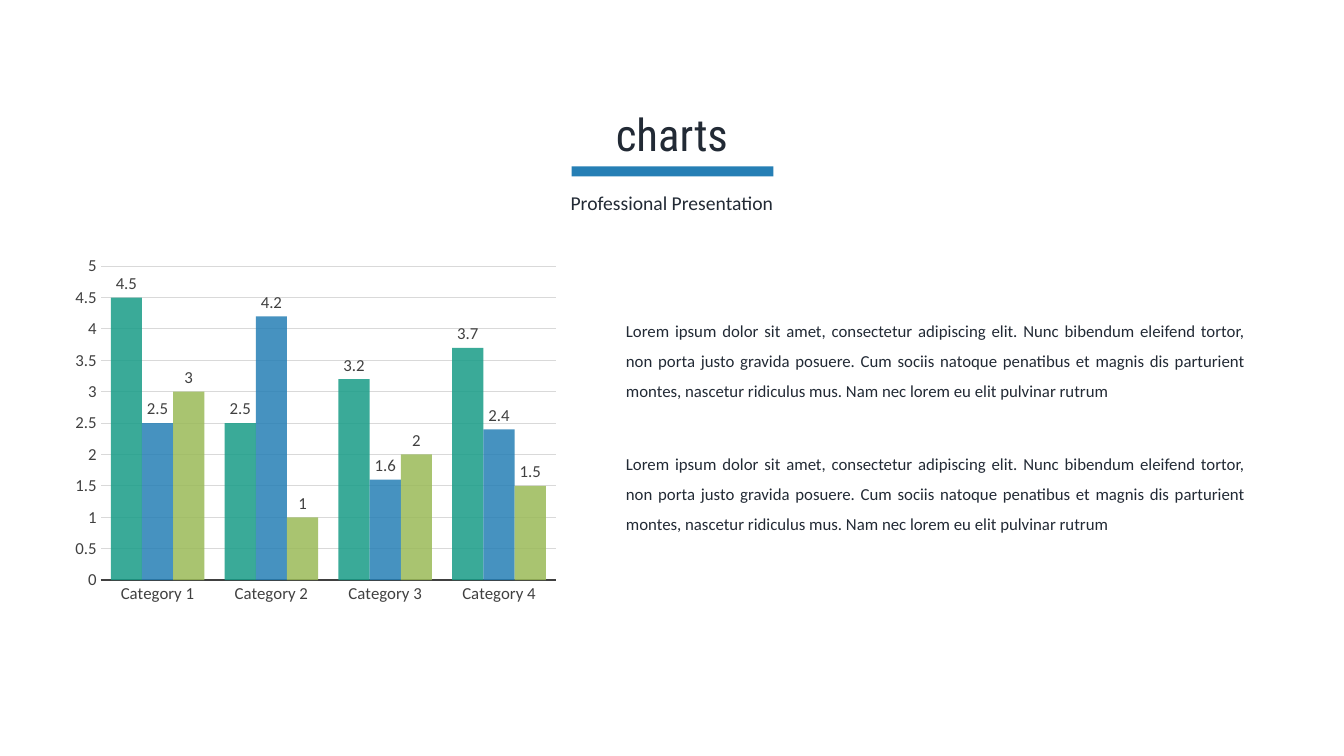
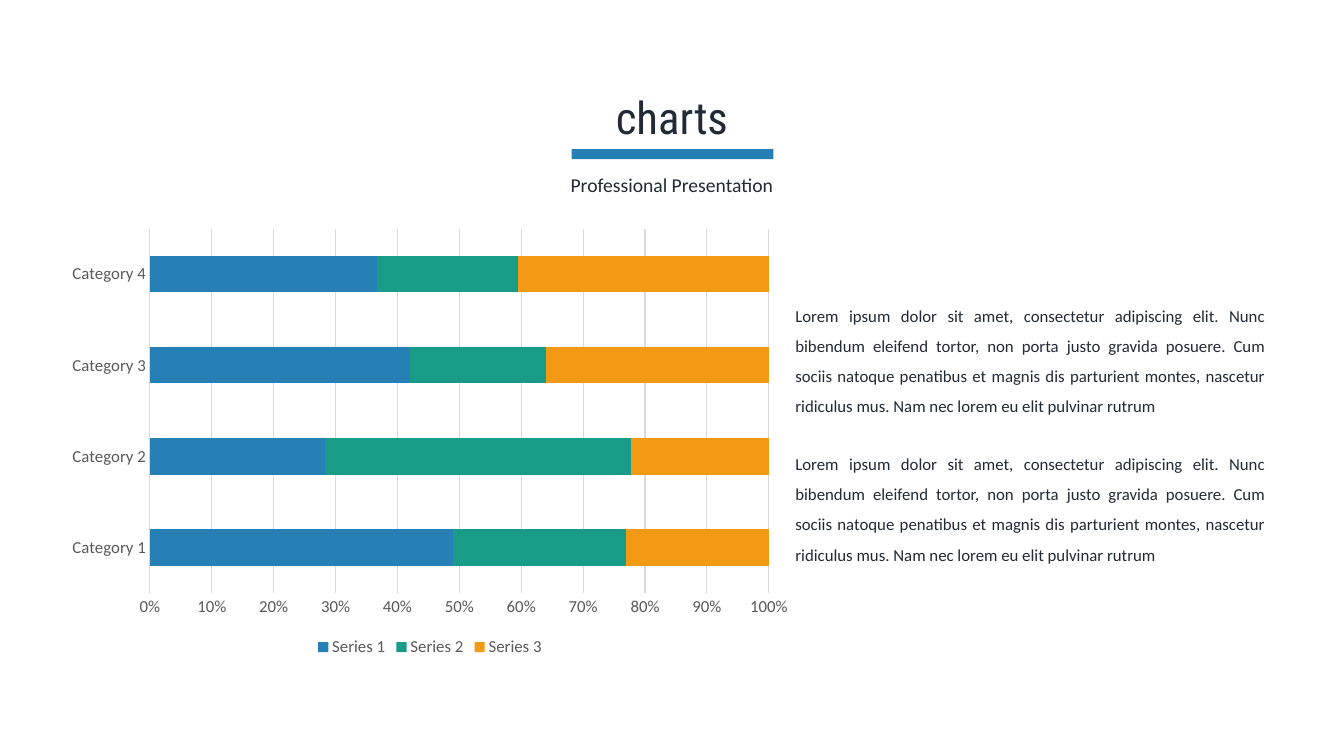
from dataclasses import dataclass

from lxml import etree
from pptx import Presentation
from pptx import util as u
from pptx.chart import data as chart_data
from pptx.dml.color import RGBColor
from pptx.enum import chart as charts
from pptx.enum import shapes, text
from pptx.oxml import parse_xml
from pptx.oxml.ns import nsdecls, qn

PX = 9144
PAGE_WIDTH, PAGE_HEIGHT = 1333, 750
INK, BLUE, TEAL, GREEN, ORANGE = "222A35", "267FB5", "189C87", "9ABA58", "F39A14"
GRID, CHARCOAL, GRAY = "D9D9D9", "404040", "595959"
BODY_FONT, TITLE_FONT = "Calibri", "Roboto Condensed"
CATEGORIES = [f"Category {number}" for number in range(1, 5)]
PARAGRAPH = (
    "Lorem ipsum dolor sit amet, consectetur adipiscing elit. Nunc bibendum eleifend tortor, "
    "non porta justo gravida posuere. Cum sociis natoque penatibus et magnis dis parturient "
    "montes, nascetur ridiculus mus. Nam nec lorem eu elit pulvinar rutrum"
)


@dataclass(frozen=True)
class Area:
    left: int
    top: int
    width: int
    height: int

    def emu(self) -> list:
        return [u.Emu(side * PX) for side in (self.left, self.top, self.width, self.height)]


@dataclass(frozen=True)
class Series:
    values: tuple
    color: str


@dataclass(frozen=True)
class ChartPage:
    heading_top: int
    kind: charts.XL_CHART_TYPE
    chart_area: Area
    series: tuple
    gap: int
    axis_color: str
    text_areas: tuple


PAGES = (
    ChartPage(
        heading_top=101,
        kind=charts.XL_CHART_TYPE.COLUMN_CLUSTERED,
        chart_area=Area(68, 245, 579, 374),
        series=(
            Series((4.5, 2.5, 3.2, 3.7), TEAL),
            Series((2.5, 4.2, 1.6, 2.4), BLUE),
            Series((3, 1, 2, 1.5), GREEN),
        ),
        gap=65,
        axis_color=CHARCOAL,
        text_areas=(Area(611, 303, 634, 101), Area(611, 435, 634, 101)),
    ),
    ChartPage(
        heading_top=84,
        kind=charts.XL_CHART_TYPE.BAR_STACKED_100,
        chart_area=Area(57, 218, 739, 438),
        series=(
            Series((49, 28, 42, 37), BLUE),
            Series((28, 49, 22, 23), TEAL),
            Series((23, 22, 36, 41), ORANGE),
        ),
        gap=150,
        axis_color=GRAY,
        text_areas=(Area(779, 288, 486, 131), Area(779, 435, 486, 131)),
    ),
)


def rgb(color: str) -> RGBColor:
    return RGBColor.from_string(color)


def style_font(font, size: int, color: str, name: str = BODY_FONT) -> None:
    font.size = u.Pt(size)
    font.name = name
    font.color.rgb = rgb(color)


def write(box, content: str, *, size: int, font: str = BODY_FONT, color: str = INK,
          align=text.PP_ALIGN.CENTER, spacing: float = 1.0,
          fit=text.MSO_AUTO_SIZE.SHAPE_TO_FIT_TEXT) -> None:
    frame = box.text_frame
    frame.word_wrap = True
    frame.auto_size = fit
    frame.vertical_anchor = text.MSO_ANCHOR.TOP
    para = frame.paragraphs[0]
    para.alignment = align
    para.line_spacing = spacing
    span = para.add_run()
    span.text = content
    style_font(span.font, size, color, font)


def add_heading(page, top: int) -> None:
    title = page.shapes.title
    title.left, title.top, title.width, title.height = Area(0, top, PAGE_WIDTH, 64).emu()
    write(title, "charts", size=32, font=TITLE_FONT, fit=text.MSO_AUTO_SIZE.NONE)
    subtitle = page.shapes.add_textbox(*Area(68, top + 83, 1197, 34).emu())
    write(subtitle, "Professional Presentation", size=14)
    underline = page.shapes.add_shape(
        shapes.MSO_SHAPE.RECTANGLE, *Area(567, top + 64, 200, 10).emu())
    underline.shadow.inherit = False
    underline.fill.solid()
    underline.fill.fore_color.rgb = rgb(BLUE)
    underline.line.fill.background()


def style_axis(axis, color: str) -> None:
    axis.major_tick_mark = charts.XL_TICK_MARK.NONE
    axis.minor_tick_mark = charts.XL_TICK_MARK.NONE
    axis.format.line.fill.background()
    style_font(axis.tick_labels.font, 12, color)


def add_chart(page, design: ChartPage):
    data = chart_data.CategoryChartData()
    data.categories = CATEGORIES
    for number, series in enumerate(design.series, 1):
        data.add_series(f"Series {number}", series.values)
    chart = page.shapes.add_chart(design.kind, *design.chart_area.emu(), data).chart
    chart.has_title = False
    chart.has_legend = False
    style_font(chart.font, 10, "000000")
    plot = chart.plots[0]
    plot.gap_width = design.gap
    plot.vary_by_categories = False
    for drawn, series in zip(plot.series, design.series):
        drawn.format.fill.solid()
        drawn.format.fill.fore_color.rgb = rgb(series.color)
    for axis in (chart.category_axis, chart.value_axis):
        style_axis(axis, design.axis_color)
    chart.value_axis.has_major_gridlines = True
    grid = chart.value_axis.major_gridlines.format.line
    grid.width = u.Pt(0.75)
    grid.color.rgb = rgb(GRID)
    return chart


def set_plot_area(chart, **percents: float) -> None:
    area = chart.element.xpath("c:chart/c:plotArea")[0]
    for layout in area.findall(qn("c:layout")):
        area.remove(layout)
    sides = "".join(f'<c:{side} val="{percent / 100}"/>' for side, percent in percents.items())
    area.insert(0, parse_xml(
        f'<c:layout {nsdecls("c")}><c:manualLayout><c:layoutTarget val="inner"/>'
        f'<c:xMode val="edge"/><c:yMode val="edge"/>{sides}</c:manualLayout></c:layout>'))


def finish_columns(chart) -> None:
    set_plot_area(chart, x=5.5, y=5.1, w=78, h=83.3)
    for color in chart.element.xpath(".//c:ser/c:spPr//a:srgbClr"):
        etree.SubElement(color, qn("a:alpha")).set("val", "85000")
    baseline = chart.category_axis.format.line
    baseline.width = u.Pt(1.5)
    baseline.color.rgb = rgb(CHARCOAL)
    chart.value_axis.minimum_scale = 0
    chart.value_axis.maximum_scale = 5
    chart.value_axis.major_unit = 0.5
    for series in chart.plots[0].series:
        labels = series.data_labels
        labels.show_value = True
        labels.position = charts.XL_LABEL_POSITION.OUTSIDE_END
        style_font(labels.font, 12, CHARCOAL)


def finish_bars(chart) -> None:
    chart.plots[0].overlap = 100
    labels = chart.value_axis.tick_labels
    labels.number_format = "0%"
    labels.number_format_is_linked = False
    chart.has_legend = True
    chart.legend.position = charts.XL_LEGEND_POSITION.BOTTOM
    chart.legend.include_in_layout = False
    style_font(chart.legend.font, 12, GRAY)


def add_page(deck, design: ChartPage) -> None:
    page = deck.slides.add_slide(deck.slide_layouts.get_by_name("Title Only"))
    chart = add_chart(page, design)
    if design.kind == charts.XL_CHART_TYPE.COLUMN_CLUSTERED:
        finish_columns(chart)
    else:
        finish_bars(chart)
    for area in design.text_areas:
        box = page.shapes.add_textbox(*area.emu())
        write(box, PARAGRAPH, size=12, align=text.PP_ALIGN.JUSTIFY, spacing=1.5)
    add_heading(page, design.heading_top)


def main() -> None:
    deck = Presentation()
    deck.slide_width = u.Emu(PAGE_WIDTH * PX)
    deck.slide_height = u.Emu(PAGE_HEIGHT * PX)
    for design in PAGES:
        add_page(deck, design)
    deck.save("out.pptx")


if __name__ == "__main__":
    main()
